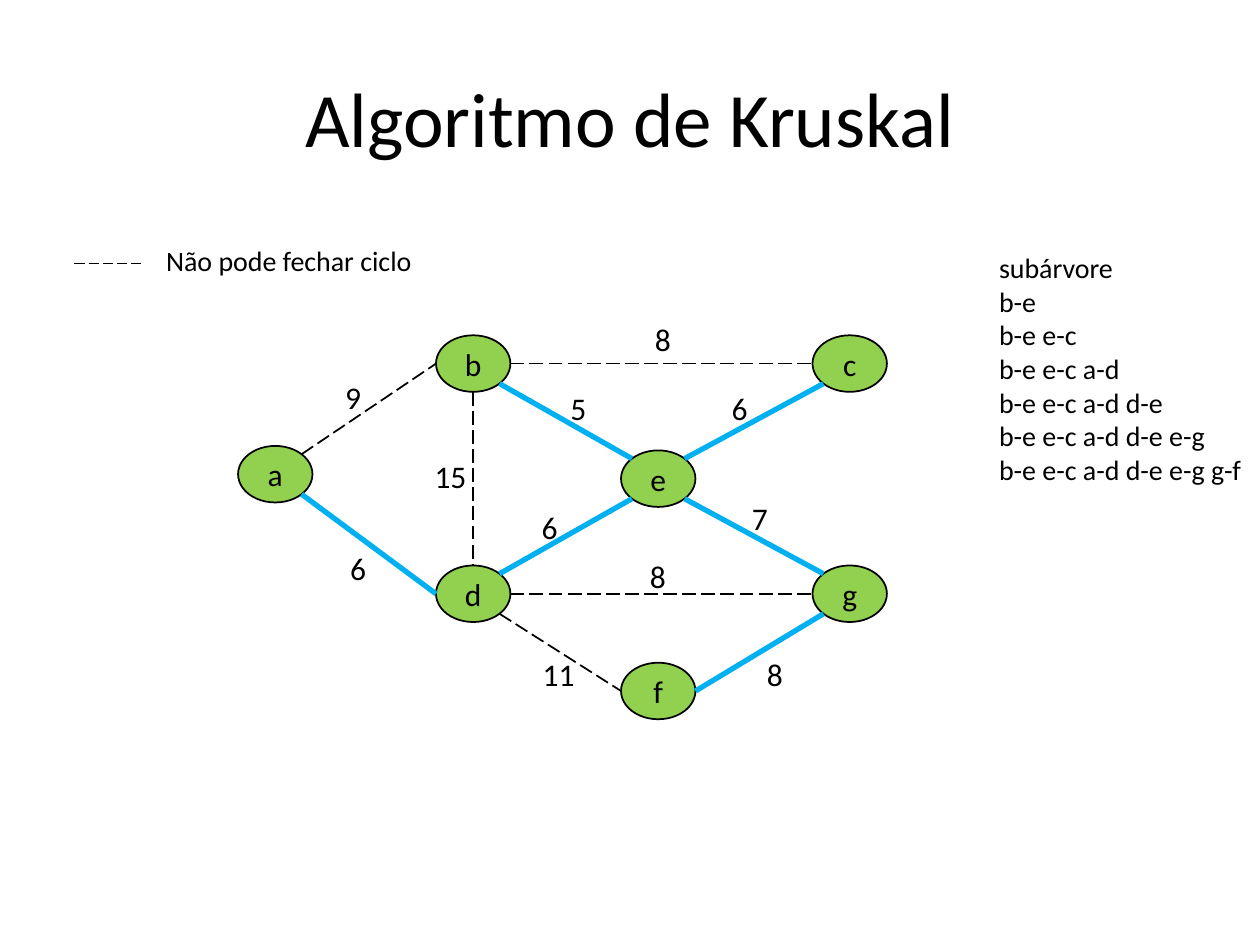
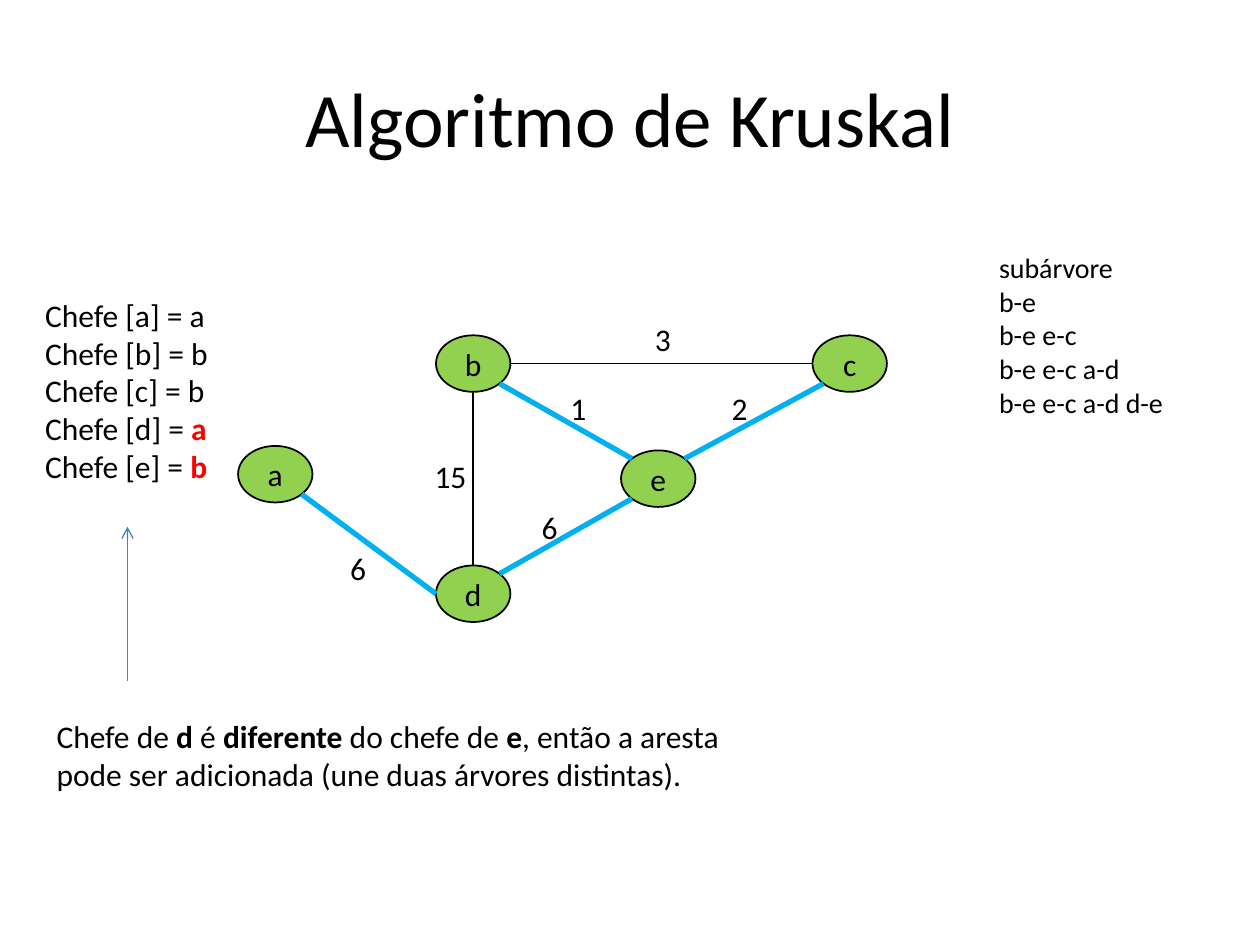
import dataclasses
import math

import lxml.etree
import pptx
import pptx.dml.color
import pptx.enum.dml
import pptx.enum.shapes
import pptx.enum.text
import pptx.oxml.ns
import pptx.util

Cm, Pt = pptx.util.Cm, pptx.util.Pt
RGB = pptx.dml.color.RGBColor.from_string
ALIGN = pptx.enum.text.PP_ALIGN
ANCHOR = pptx.enum.text.MSO_ANCHOR
AUTO_SIZE = pptx.enum.text.MSO_AUTO_SIZE


@dataclasses.dataclass(frozen=True)
class Theme:
    font: str = "Calibri"
    ink: str = "000000"
    node: str = "92D050"
    tree: str = "00B0F0"
    alert: str = "FF0000"
    pointer: str = "4B7EBC"
    title: int = 44
    body: int = 18
    small: int = 16
    thin: float = 0.75
    edge: float = 1
    thick: float = 3


theme = Theme()


def add_text(s, text, box, size=theme.body, bold_color=theme.ink, centered=False,
             wrap=True, grow=True, fill=None):
    """Write one paragraph per line, with *bold* parts, in a text box or a filled ellipse."""
    place = [Cm(v) for v in box]
    if fill:
        sp = s.shapes.add_shape(pptx.enum.shapes.MSO_SHAPE.OVAL, *place)
        sp.shadow.inherit = False
        sp.fill.solid()
        sp.fill.fore_color.rgb = RGB(fill)
        sp.line.color.rgb = RGB(theme.ink)
        sp.line.width = Pt(theme.edge)
    else:
        sp = s.shapes.add_textbox(*place)
    tf = sp.text_frame
    tf.word_wrap = wrap
    tf.auto_size = AUTO_SIZE.SHAPE_TO_FIT_TEXT if grow else AUTO_SIZE.NONE
    tf.vertical_anchor = ANCHOR.MIDDLE if centered else ANCHOR.TOP
    for i, line in enumerate(text.split("\n")):
        p = tf.add_paragraph() if i else tf.paragraphs[0]
        p.alignment = ALIGN.CENTER if centered else ALIGN.LEFT
        for j, part in enumerate(line.split("*")):
            if not part:
                continue
            bold = j % 2 == 1
            r = p.add_run()
            r.text = part
            r.font.name = theme.font
            r.font.size = Pt(size)
            r.font.bold = bold
            r.font.color.rgb = RGB(bold_color if bold else theme.ink)


def add_line(s, start, end, color=theme.ink, width=theme.edge, dashed=False, arrow=False):
    line = s.shapes.add_connector(pptx.enum.shapes.MSO_CONNECTOR.STRAIGHT,
                                  *[Cm(v) for v in (*start, *end)])
    line.line.color.rgb = RGB(color)
    line.line.width = Pt(width)
    if dashed:
        line.line.dash_style = pptx.enum.dml.MSO_LINE.LONG_DASH
    qn = pptx.oxml.ns.qn
    if arrow:
        ln = line.line._get_or_add_ln()
        lxml.etree.SubElement(ln, qn("a:tailEnd"), type="arrow")
    lxml.etree.SubElement(line._element.spPr, qn("a:effectLst"))


# Graph: node centres, then edges as (side of first node, side of second, label position)
NODE_W, NODE_H = 1.5, 1.14
LEFT, MID, RIGHT = 9.54, 13.27, 17.13
TOP, BOTTOM = 7.33, 11.97
centers = {
    "a": (5.55, 9.56),
    "b": (LEFT, TOP),
    "c": (RIGHT, TOP),
    "d": (LEFT, BOTTOM),
    "e": (MID, (TOP + BOTTOM) / 2),
    "f": (MID, 13.93),
    "g": (RIGHT, BOTTOM),
}
diagonal = math.sqrt(0.5)
sides = {
    "N": (0, -1), "S": (0, 1), "W": (-1, 0), "E": (1, 0),
    "NE": (diagonal, -diagonal), "NW": (-diagonal, -diagonal),
    "SE": (diagonal, diagonal), "SW": (-diagonal, diagonal),
}
edges = {
    "ab": ("NE", "W", (6.71, 7.49)),
    "ad": ("SE", "W", (6.81, 10.95)),
    "bc": ("E", "W", (12.95, 6.32)),
    "bd": ("S", "N", (8.51, 9.09)),
    "be": ("SE", "NW", (11.25, 7.72)),
    "ce": ("SW", "NE", (14.5, 7.72)),
    "de": ("NE", "SW", (10.67, 10.11)),
    "df": ("SE", "W", (10.69, 13.08)),
    "dg": ("E", "W", (12.85, 11.1)),
    "eg": ("SE", "NW", (14.91, 9.93)),
    "fg": ("E", "SW", (15.21, 13.08)),
}

# Each step: weights by edge, edges in the tree in the order chosen, whether the rest is dashed
steps = [
    {
        "weights": {"ab": 9, "ad": 6, "bc": 8, "bd": 15, "be": 5, "ce": 6,
                    "de": 6, "df": 11, "dg": 8, "eg": 7, "fg": 8},
        "tree": ["b-e", "e-c", "a-d", "d-e", "e-g", "g-f"],
        "dashed": True,
        "list_size": (5.51, 5.74),
    },
    {
        "weights": {"ad": 6, "bc": 3, "bd": 15, "be": 1, "ce": 2, "de": 6},
        "tree": ["b-e", "e-c", "a-d", "d-e"],
        "dashed": False,
        "list_size": (4.19, 3.68),
    },
]

prs = pptx.Presentation()
prs.slide_width, prs.slide_height = Cm(25.4), Cm(19.05)
blank = prs.slide_layouts[6]
slides = []

for step in steps:
    s = prs.slides.add_slide(blank)
    slides.append(s)
    add_text(s, "Algoritmo de Kruskal", (1.27, 0.76, 22.86, 3.18),
             size=theme.title, centered=True, grow=False)

    for name in sorted(set("".join(step["weights"]))):
        x, y = centers[name]
        add_text(s, name, (x - NODE_W / 2, y - NODE_H / 2, NODE_W, NODE_H),
                 centered=True, grow=False, fill=theme.node)

    chosen = {"".join(sorted(edge.split("-"))) for edge in step["tree"]}
    for edge, weight in step["weights"].items():
        *ends, label_at = edges[edge]
        points = []
        for name, side in zip(edge, ends):
            (x, y), (dx, dy) = centers[name], sides[side]
            points.append((x + dx * NODE_W / 2, y + dy * NODE_H / 2))
        if edge in chosen:
            add_line(s, *points, color=theme.tree, width=theme.thick)
        else:
            add_line(s, *points, dashed=step["dashed"])
        label_w = 0.84 if weight < 10 else 1.17
        add_text(s, str(weight), (*label_at, label_w, 1.02), wrap=False)

    tree = step["tree"]
    growth = [" ".join(tree[:n]) for n in range(1, len(tree) + 1)]
    add_text(s, "\n".join(["subárvore", *growth]), (19.89, 4.93, *step["list_size"]),
             size=theme.small)

cycle_slide, chief_slide = slides

# Legend for rejected edges
add_line(cycle_slide, (1.5, 5.31), (2.9, 5.31), width=theme.thin, dashed=True)
add_text(cycle_slide, "Não pode fechar ciclo", (3.1, 4.78, 5.54, 0.94),
         size=theme.small, wrap=False)

# Chief of each node and why the edge d-e is accepted
chiefs = {"a": "a", "b": "b", "c": "b", "d": "*a*", "e": "*b*"}
add_text(chief_slide, "\n".join(f"Chefe [{node}] = {chief}" for node, chief in chiefs.items()),
         (0.66, 5.84, 3.84, 4.11), bold_color=theme.alert, wrap=False)
add_line(chief_slide, (2.57, 13.72), (2.57, 10.62), color=theme.pointer,
         width=theme.thin, arrow=True)
add_text(chief_slide,
         "Chefe de *d* é *diferente* do chefe de *e*, então a aresta pode ser "
         "adicionada (une duas árvores distintas).",
         (0.89, 14.33, 15.09, 1.8))

prs.save("out.pptx")
